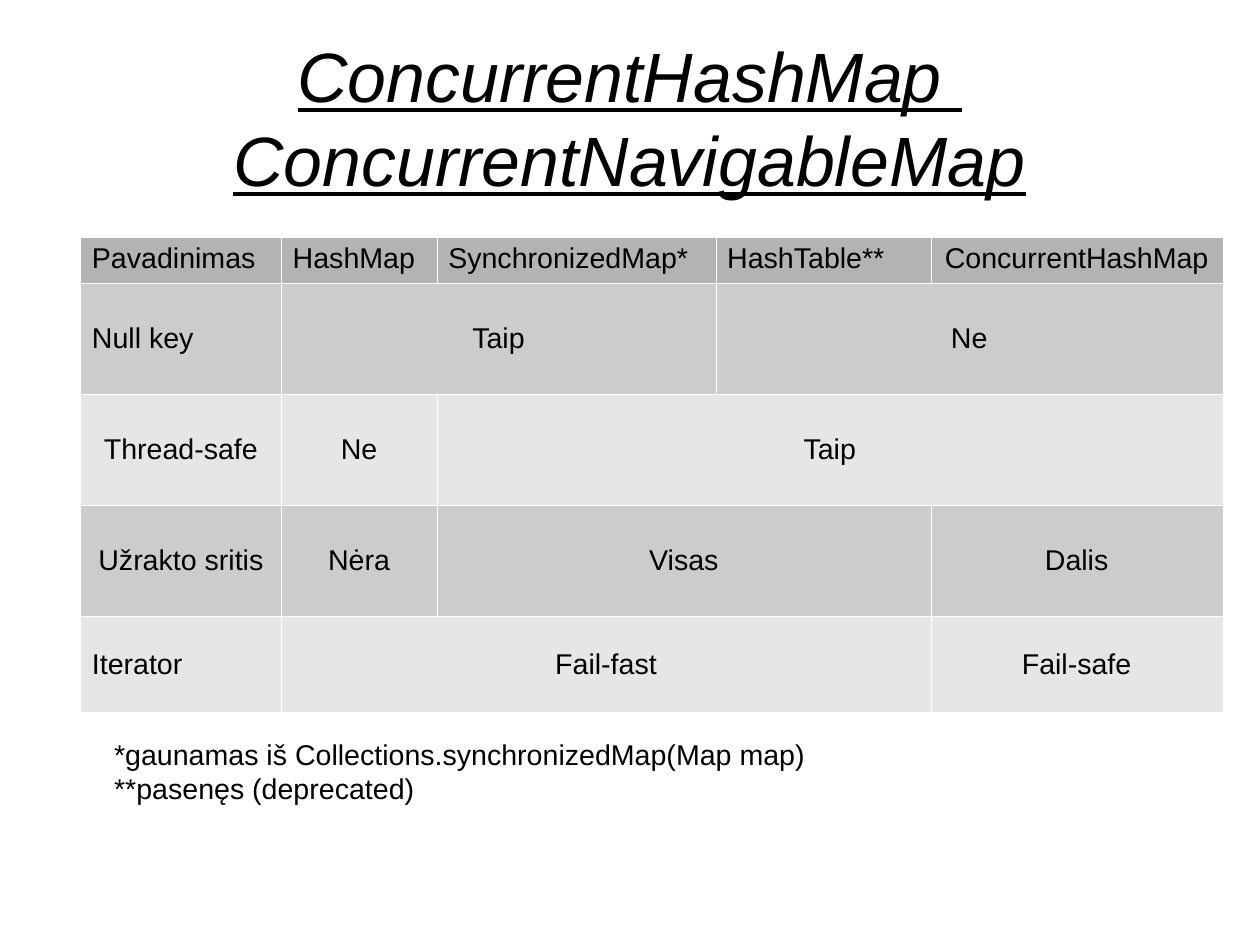
from lxml.etree import SubElement
from pptx import Presentation
from pptx.dml.color import RGBColor
from pptx.enum.text import MSO_ANCHOR as Anchor, PP_ALIGN as Align
from pptx.oxml.ns import qn
from pptx.util import Pt

COLORS = {
    "text": "000000",
    "border": "FFFFFF",
    "header": "B3B3B3",
    "dark": "CCCCCC",
    "light": "E6E6E6",
}
LEFT, CENTER = Align.LEFT, Align.CENTER
COLUMN_WIDTHS = [126.5, 98, 175.7, 135.4, 183.9]

# Each row: height, fill, anchor, then cells as (text, column span, alignment)
ROWS = [
    (28.2, "header", Anchor.TOP, [
        ("Pavadinimas", 1, LEFT), ("HashMap", 1, LEFT),
        ("SynchronizedMap*", 1, LEFT), ("HashTable**", 1, LEFT),
        ("ConcurrentHashMap", 1, CENTER)]),
    (70, "dark", Anchor.MIDDLE, [
        ("Null key", 1, LEFT), ("Taip", 2, CENTER), ("Ne", 2, CENTER)]),
    (70, "light", Anchor.MIDDLE, [
        ("Thread-safe", 1, CENTER), ("Ne", 1, CENTER), ("Taip", 3, CENTER)]),
    (70, "dark", Anchor.MIDDLE, [
        ("Užrakto sritis", 1, CENTER), ("Nėra", 1, CENTER),
        ("Visas", 2, CENTER), ("Dalis", 1, CENTER)]),
    (60.5, "light", Anchor.MIDDLE, [
        ("Iterator", 1, LEFT), ("Fail-fast", 3, CENTER),
        ("Fail-safe", 1, CENTER)]),
]


def rgb(name):
    return RGBColor.from_string(COLORS[name])


def write(text_frame, text, size=18, align=LEFT, emphasis=False):
    """Fill a text frame; emphasis means italic and underlined."""
    text_frame.text = text
    for paragraph in text_frame.paragraphs:
        paragraph.alignment = align
        font = paragraph.font
        font.name, font.size = "Arial", Pt(size)
        font.color.rgb = rgb("text")
        if emphasis:
            font.italic = font.underline = True


def add_text(slide, left, top, width, height, text, margins=(7.2, 3.6),
             anchor=Anchor.TOP, **style):
    box = slide.shapes.add_textbox(Pt(left), Pt(top), Pt(width), Pt(height))
    frame = box.text_frame
    frame.word_wrap = True
    frame.vertical_anchor = anchor
    frame.margin_left = frame.margin_right = Pt(margins[0])
    frame.margin_top = frame.margin_bottom = Pt(margins[1])
    write(frame, text, **style)


def add_borders(cell):
    properties = cell._tc.get_or_add_tcPr()
    for side in ("a:lnL", "a:lnR", "a:lnT", "a:lnB"):
        line = SubElement(properties, qn(side), w=str(Pt(0.06)))
        fill = SubElement(line, qn("a:solidFill"))
        SubElement(fill, qn("a:srgbClr"), val=COLORS["border"])


def add_comparison_table(slide, left, top):
    width, height = sum(COLUMN_WIDTHS), sum(row[0] for row in ROWS)
    table = slide.shapes.add_table(len(ROWS), len(COLUMN_WIDTHS), Pt(left),
                                   Pt(top), Pt(width), Pt(height)).table
    table.first_row = table.horz_banding = False
    for column, column_width in zip(table.columns, COLUMN_WIDTHS):
        column.width = Pt(column_width)
    for row_index, (row_height, fill, anchor, entries) in enumerate(ROWS):
        row = table.rows[row_index]
        row.height = Pt(row_height)
        for cell in row.cells:
            add_borders(cell)
            cell.fill.solid()
            cell.fill.fore_color.rgb = rgb(fill)
            cell.vertical_anchor = anchor
        column_index = 0
        for text, span, align in entries:
            cell = table.cell(row_index, column_index)
            column_index += span
            if span > 1:
                cell.merge(table.cell(row_index, column_index - 1))
            write(cell.text_frame, text, align=align)


def main():
    presentation = Presentation()
    presentation.slide_width, presentation.slide_height = Pt(793.7), Pt(595.3)
    slide = presentation.slides.add_slide(presentation.slide_layouts[6])
    add_text(slide, 39.6, 23.8, 714.2, 99.4,
             "ConcurrentHashMap \vConcurrentNavigableMap", margins=(0, 0),
             anchor=Anchor.MIDDLE, size=44, align=CENTER, emphasis=True)
    add_comparison_table(slide, 50.7, 149.4)
    add_text(slide, 64.8, 460.8, 561.6, 47.5,
             "*gaunamas iš Collections.synchronizedMap(Map map)\n"
             "**pasenęs (deprecated)")
    presentation.save("out.pptx")


if __name__ == "__main__":
    main()
